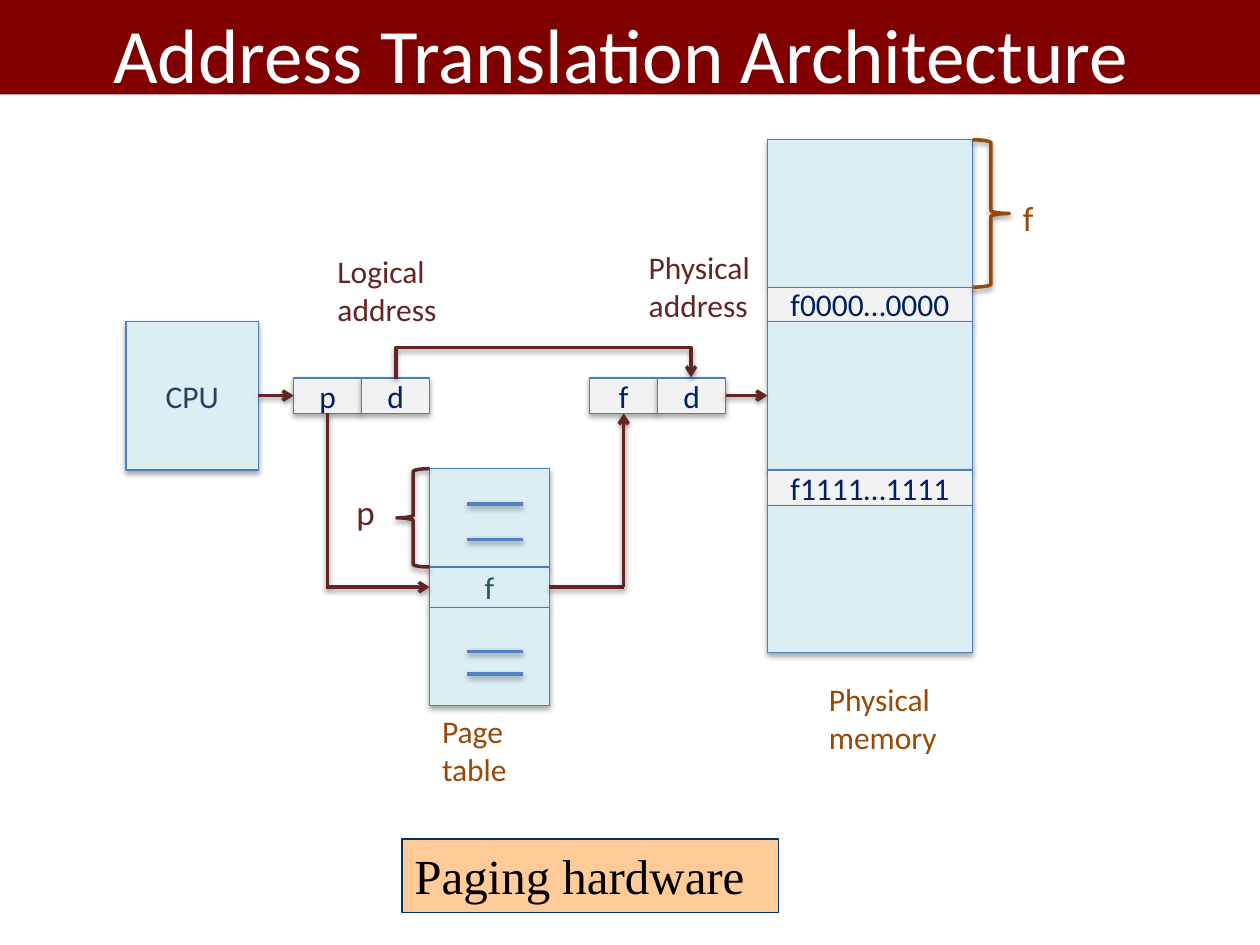
from lxml import etree
from pptx import Presentation, util as u
from pptx.dml.color import RGBColor
from pptx.enum import shapes, text
from pptx.oxml.ns import qn

PX = 9144  # EMU per px, 100 px to the inch
WHITE = RGBColor(0xFF, 0xFF, 0xFF)
BLACK = RGBColor(0x00, 0x00, 0x00)
MAROON = RGBColor(0x80, 0x00, 0x00)
PALE_BLUE = RGBColor(0xDB, 0xEE, 0xF4)
PALE_GREY = RGBColor(0xF2, 0xF2, 0xF2)
PEACH = RGBColor(0xFF, 0xCC, 0x99)
EDGE = RGBColor(0x4B, 0x7E, 0xBC)
BLUE = RGBColor(0x4F, 0x81, 0xBD)
NAVY = RGBColor(0x00, 0x20, 0x60)
SLATE = RGBColor(0x25, 0x40, 0x61)
TEAL = RGBColor(0x21, 0x59, 0x68)
CAPTION_EDGE = RGBColor(0x00, 0x33, 0x66)
WINE = RGBColor(0x63, 0x25, 0x23)
BROWN = RGBColor(0x98, 0x48, 0x07)


def emu(*lengths):
    return [u.Emu(length * PX) for length in lengths]


def add_shadow(shape, distance, alpha):
    effects = etree.SubElement(shape._element.spPr, qn("a:effectLst"))
    outer = etree.SubElement(effects, qn("a:outerShdw"), blurRad="40000", dist=str(distance),
                             dir="5400000", rotWithShape="0")
    black = etree.SubElement(outer, qn("a:srgbClr"), val="000000")
    etree.SubElement(black, qn("a:alpha"), val=str(alpha))


def write(shape, words, size=18, color=NAVY, font="Calibri", align=text.PP_ALIGN.CENTER,
          anchor=text.MSO_ANCHOR.MIDDLE, grow=False):
    frame = shape.text_frame
    frame.word_wrap = True
    frame.vertical_anchor = anchor
    if grow:
        frame.auto_size = text.MSO_AUTO_SIZE.SHAPE_TO_FIT_TEXT
    paragraph = frame.paragraphs[0]
    paragraph.alignment = align
    run = paragraph.add_run()
    run.text = words
    run.font.size, run.font.name, run.font.color.rgb = u.Pt(size), font, color


def add_label(slide, box, words, **style):
    write(slide.shapes.add_textbox(*emu(*box)), words, align=text.PP_ALIGN.LEFT,
          anchor=text.MSO_ANCHOR.TOP, grow=True, **style)


def add_block(slide, box, fill, edge=None, shadow=False):
    block = slide.shapes.add_shape(shapes.MSO_SHAPE.RECTANGLE, *emu(*box))
    block.fill.solid()
    block.fill.fore_color.rgb = fill
    if edge is None:
        block.line.fill.background()
    else:
        block.line.color.rgb, block.line.width = edge, u.Pt(0.75)
    if shadow:
        add_shadow(block, 23000, 35000)
    else:
        block.shadow.inherit = False
    return block


def add_cell(slide, box, words="", fill=PALE_BLUE, color=NAVY):
    cell = add_block(slide, box, fill, EDGE, shadow=True)
    if words:
        write(cell, words, color=color)
    return cell


def add_brace(slide, preset, box, color):
    brace = slide.shapes.add_shape(preset, *emu(*box))
    brace.fill.background()
    brace.line.color.rgb, brace.line.width = color, u.Pt(2)
    add_shadow(brace, 20000, 38000)


def add_line(slide, start, end, color=WINE, arrow=False, source=None, target=None,
             kind=shapes.MSO_CONNECTOR.STRAIGHT):
    """source and target are (shape, connection site) pairs."""
    line = slide.shapes.add_connector(kind, *emu(*start, *end))
    if source:
        line.begin_connect(*source)
    if target:
        line.end_connect(*target)
    line.line.color.rgb, line.line.width = color, u.Pt(2)
    if arrow:
        etree.SubElement(line._element.spPr.find(qn("a:ln")), qn("a:tailEnd"), type="arrow")
    add_shadow(line, 20000, 38000)
    return line


def add_stack(slide, box, rows):
    """Rows of (height, words, fill, colour), from the top of the box down."""
    left, top, width, _ = box
    cells = []
    for height, words, fill, color in rows:
        cells.append(add_cell(slide, (left, top, width, height), words, fill, color))
        top += height
    return cells


def add_physical_memory(slide, box):
    left, top, width, height = box
    cells = add_stack(slide, box, [
        (117, "", PALE_BLUE, NAVY),
        (27, "f0000…0000", PALE_GREY, NAVY),
        (118, "", PALE_BLUE, NAVY),
        (28, "f1111…1111", PALE_GREY, NAVY),
        (117, "", PALE_BLUE, NAVY)])
    add_label(slide, (left + 39, top + height + 17, 125, 71), "Physical memory", color=BROWN)
    right = left + width
    add_brace(slide, shapes.MSO_SHAPE.RIGHT_BRACE, (right, top, 29, 117), BROWN)
    add_label(slide, (right + 30, top + 40, 25, 44), "f", size=20, color=BROWN)
    return cells[2]


def add_page_table(slide, box):
    left, top, width, height = box
    _, frame_entry, _ = add_stack(slide, box, [
        (78, "", PALE_BLUE, TEAL), (32, "f", PALE_BLUE, TEAL), (78, "", PALE_BLUE, TEAL)])
    for offset in (28, 56, 145, 163):
        add_line(slide, (left + 30, top + offset), (left + 74, top + offset), BLUE)
    add_brace(slide, shapes.MSO_SHAPE.LEFT_BRACE, (left - 26, top, 26, 78), WINE)
    add_label(slide, (left - 68, top + 12, 28, 44), "p", size=20, color=WINE)
    add_label(slide, (left, top + height, width, 71), "Page table", color=BROWN)
    return frame_entry


def add_address(slide, box, fields, name, name_box):
    left, top, width, height = box
    cell_width = width // len(fields)
    dx, dy, name_width, name_height = name_box
    add_label(slide, (left + dx, top + dy, name_width, name_height), name, color=WINE)
    return [add_cell(slide, (left + i * cell_width, top, cell_width, height), field, PALE_GREY)
            for i, field in enumerate(fields)]


def add_offset_path(slide, start_x, end_x, bottom, rise):
    """Elbow arrow that leaves upwards, runs across and comes down."""
    middle, half = (start_x + end_x) // 2, (end_x - start_x) // 2
    elbow = add_line(slide, (middle + 1, bottom + half), (middle, bottom - half),
                     arrow=True, kind=shapes.MSO_CONNECTOR.ELBOW)
    properties = elbow._element.spPr
    properties.find(qn("a:xfrm")).set("rot", "5400000")
    guides = properties.find(qn("a:prstGeom")).find(qn("a:avLst"))
    etree.SubElement(guides, qn("a:gd"), name="adj1", fmla=f"val {rise * 100000}")


def add_diagram(slide, box):
    left, top, _, _ = box

    def at(x, y, *size):
        return (left + x, top + y, *size)

    # Blocks
    memory = add_physical_memory(slide, at(509, 0, 163, 407))
    p, _ = add_address(slide, at(133, 189, 108, 28), "pd", "Logical address",
                       (25, -105, 112, 71))
    f, d = add_address(slide, at(368, 189, 108, 28), "fd", "Physical address",
                       (37, -108, 142, 71))
    entry = add_page_table(slide, at(241, 261, 95, 188))
    cpu = add_cell(slide, at(0, 144, 105, 118), "CPU", color=SLATE)

    # Address flow
    add_line(slide, at(105, 203), at(133, 203), arrow=True, source=(cpu, 3), target=(p, 1))
    add_line(slide, at(476, 203), at(509, 203), arrow=True, source=(d, 3), target=(memory, 1))
    add_offset_path(slide, left + 214, left + 449, top + 189, 25)
    add_line(slide, at(160, 217), at(160, 355), source=(p, 2))
    add_line(slide, at(159, 355), at(241, 355), arrow=True, target=(entry, 1))
    add_line(slide, at(336, 355), at(395, 355), source=(entry, 3))
    add_line(slide, at(395, 355), at(395, 217), arrow=True, target=(f, 2))


def add_title(slide, box):
    write(add_block(slide, box, MAROON), "Address Translation Architecture ",
          size=44, color=WHITE, anchor=text.MSO_ANCHOR.TOP)


def add_caption(slide, box):
    write(add_block(slide, box, PEACH, CAPTION_EDGE), "Paging hardware", size=28, color=BLACK,
          font="Times New Roman", align=text.PP_ALIGN.LEFT, anchor=text.MSO_ANCHOR.TOP, grow=True)


def main():
    deck = Presentation()
    deck.slide_width, deck.slide_height = emu(1000, 750)
    slide = deck.slides.add_slide(deck.slide_layouts[6])
    add_diagram(slide, (100, 111, 800, 520))
    add_title(slide, (0, 0, 1000, 75))
    add_caption(slide, (319, 666, 299, 58))
    deck.save("out.pptx")


if __name__ == "__main__":
    main()
